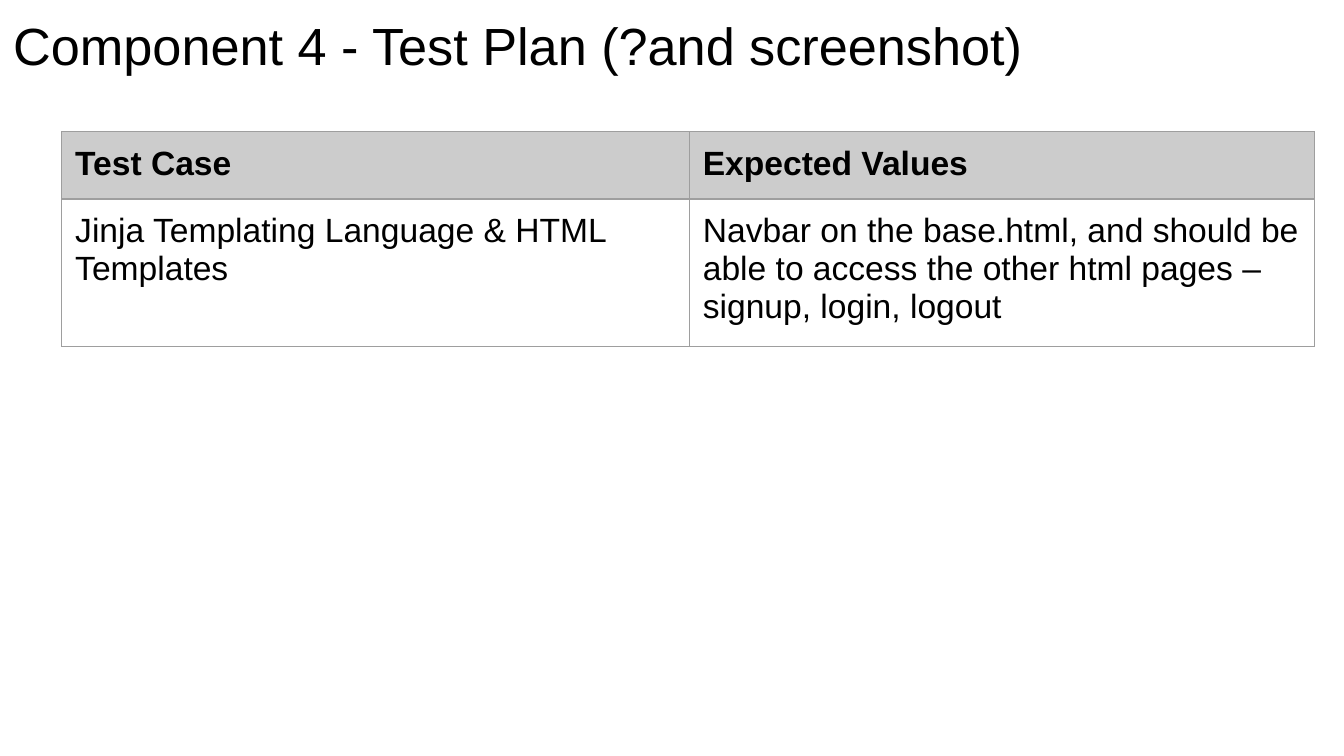
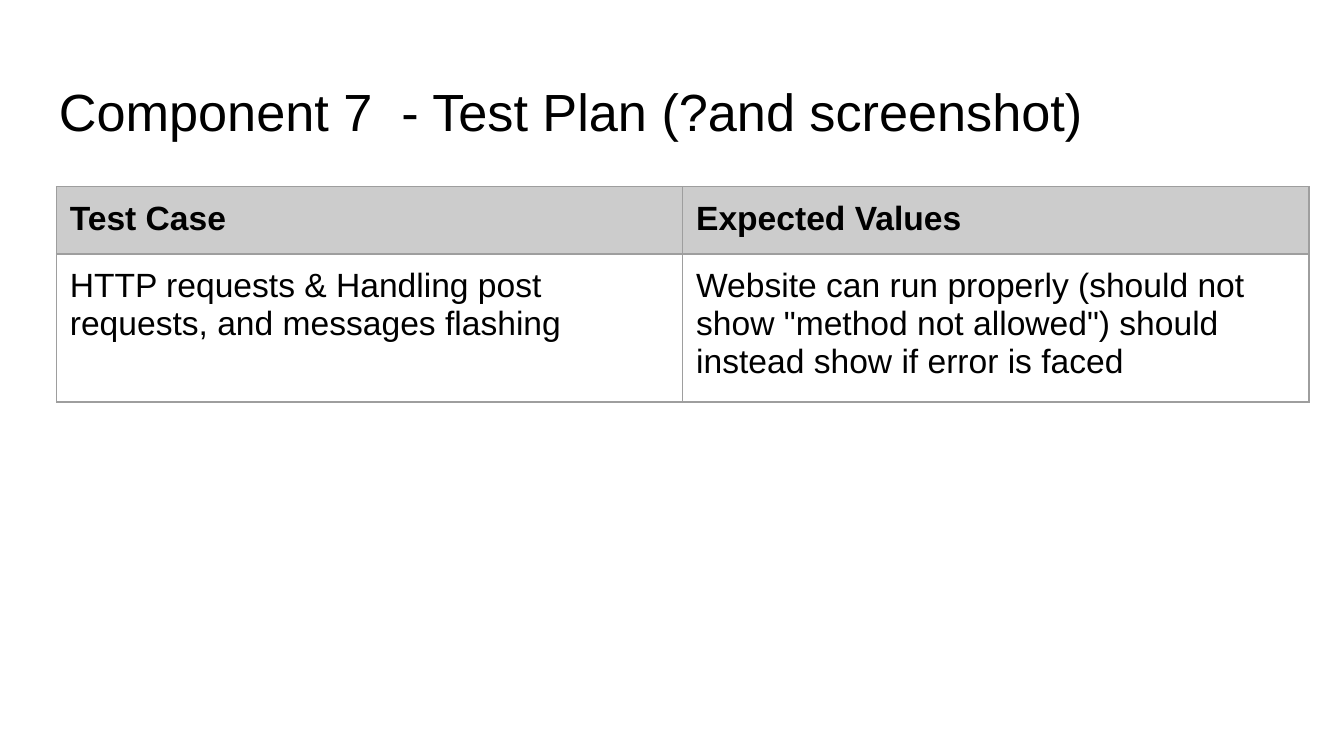
from lxml import etree
from pptx import Presentation
from pptx import util as u
from pptx.dml.color import RGBColor
from pptx.enum import text
from pptx.oxml import ns

HUES = {"ink": "000000", "head": "CCCCCC", "rule": "9E9E9E"}
HEADS = ("Test Case", "Expected Values")
PAD = u.Inches(0.1)


def write(frame, words, size=18, bold=False, hue="ink", face="Arial"):
    """Put words in a text frame with the given format."""
    frame.word_wrap = True
    frame.margin_left = frame.margin_right = PAD
    frame.margin_top = frame.margin_bottom = PAD
    run = frame.paragraphs[0].add_run()
    run.text = words
    font = run.font
    font.name, font.size, font.bold = face, u.Pt(size), bold
    font.color.rgb = RGBColor.from_string(HUES[hue])


class Deck:
    """Hold the style and the current slide."""

    def __init__(self):
        """Start an empty wide deck."""
        self.show = Presentation()
        self.show.slide_width = u.Inches(10)
        self.show.slide_height = u.Inches(10) * 9 // 16
        self.slide = None

    def page(self):
        """Add a blank slide and make it current."""
        self.slide = self.show.slides.add_slide(self.show.slide_layouts[6])

    def title(self, words, left, top):
        """Add the slide title."""
        box = self.slide.shapes.add_textbox(
            u.Inches(left), u.Inches(top), u.Inches(9.32), u.Inches(0.63))
        box.text_frame.vertical_anchor = text.MSO_ANCHOR.TOP
        write(box.text_frame, words, size=28)

    def edge(self, cell):
        """Rule all four sides of a cell."""
        props = cell._tc.get_or_add_tcPr()
        for spot, side in enumerate(("lnL", "lnR", "lnT", "lnB")):
            line = etree.Element(ns.qn(f"a:{side}"), w=str(u.Pt(0.75)))
            fill = etree.SubElement(line, ns.qn("a:solidFill"))
            etree.SubElement(fill, ns.qn("a:srgbClr"), val=HUES["rule"])
            props.insert(spot, line)

    def table(self, left, top, cols, body):
        """Add a test table with a grey head row."""
        rows, highs = (HEADS, body), (0.42, 0.43)
        frame = self.slide.shapes.add_table(
            len(rows), len(cols), u.Inches(left), u.Inches(top),
            u.Inches(sum(cols)), u.Inches(sum(highs)))
        grid = frame.table
        grid.horz_banding = False
        for col, wide in zip(grid.columns, cols):
            col.width = u.Inches(wide)
        for y, (row, high) in enumerate(zip(rows, highs)):
            grid.rows[y].height = u.Inches(high)
            for x, words in enumerate(row):
                cell = grid.cell(y, x)
                cell.margin_left = cell.margin_right = PAD
                cell.margin_top = cell.margin_bottom = PAD
                write(cell.text_frame, words, bold=y == 0)
                if y == 0:
                    cell.fill.solid()
                    cell.fill.fore_color.rgb = RGBColor.from_string(HUES["head"])
                else:
                    cell.fill.background()
                self.edge(cell)
        frame.height = u.Inches(1.6)


def main():
    """Build both test plan slides."""
    deck = Deck()
    deck.page()
    deck.title("Component 4 - Test Plan (?and screenshot)", 0, 0)
    deck.table(0.46, 0.98, (4.67, 4.65), (
        "Jinja Templating Language & HTML Templates",
        "Navbar on the base.html, and should be able to access the other "
        "html pages – signup, login, logout"))
    deck.page()
    deck.title("Component 7  - Test Plan (?and screenshot)", 0.34, 0.49)
    deck.table(0.42, 1.39, (4.66, 4.66), (
        "HTTP requests & Handling post requests, and messages flashing",
        "Website can run properly (should not show \"method not allowed\") "
        "should instead show if error is faced"))
    deck.show.save("out.pptx")


if __name__ == "__main__":
    main()
